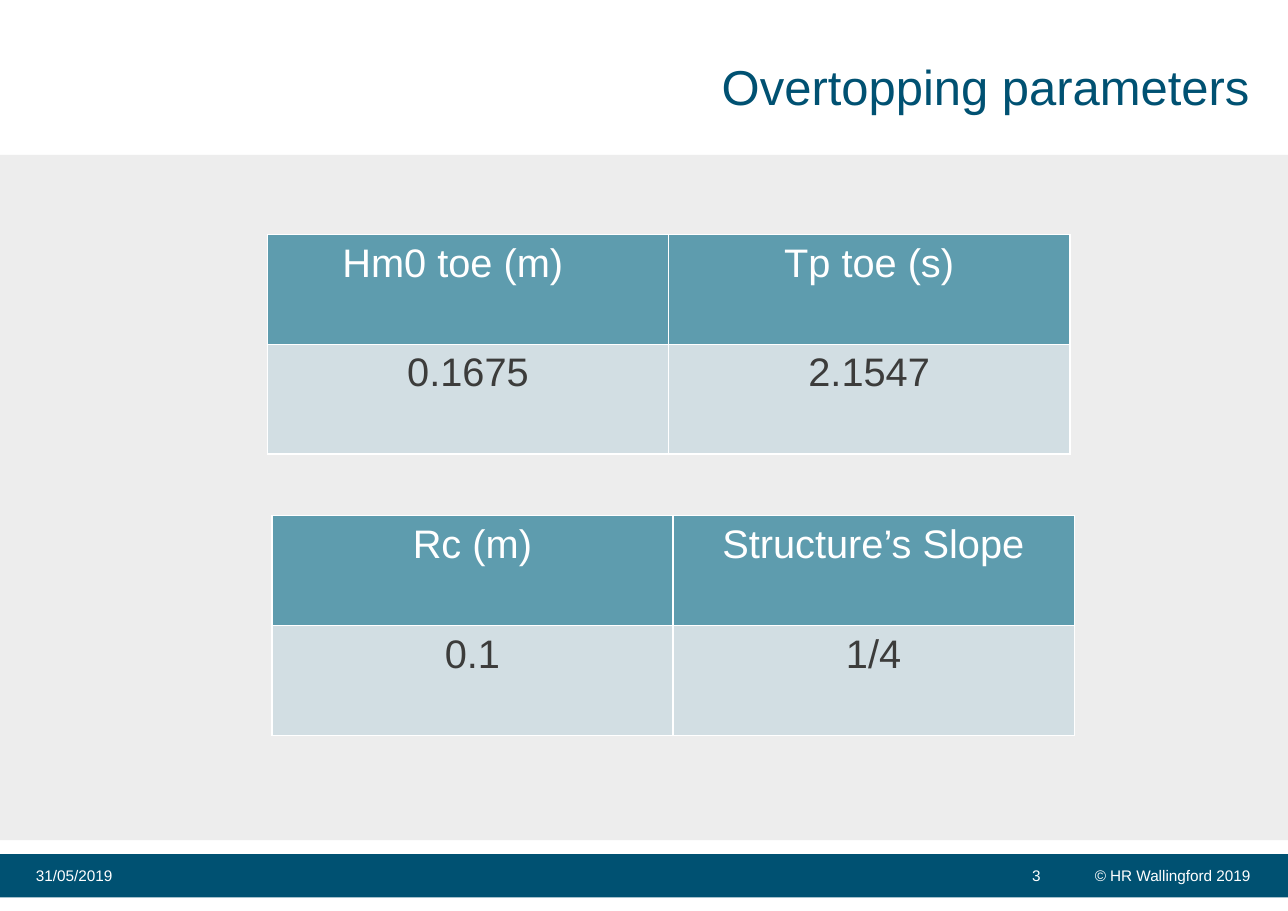
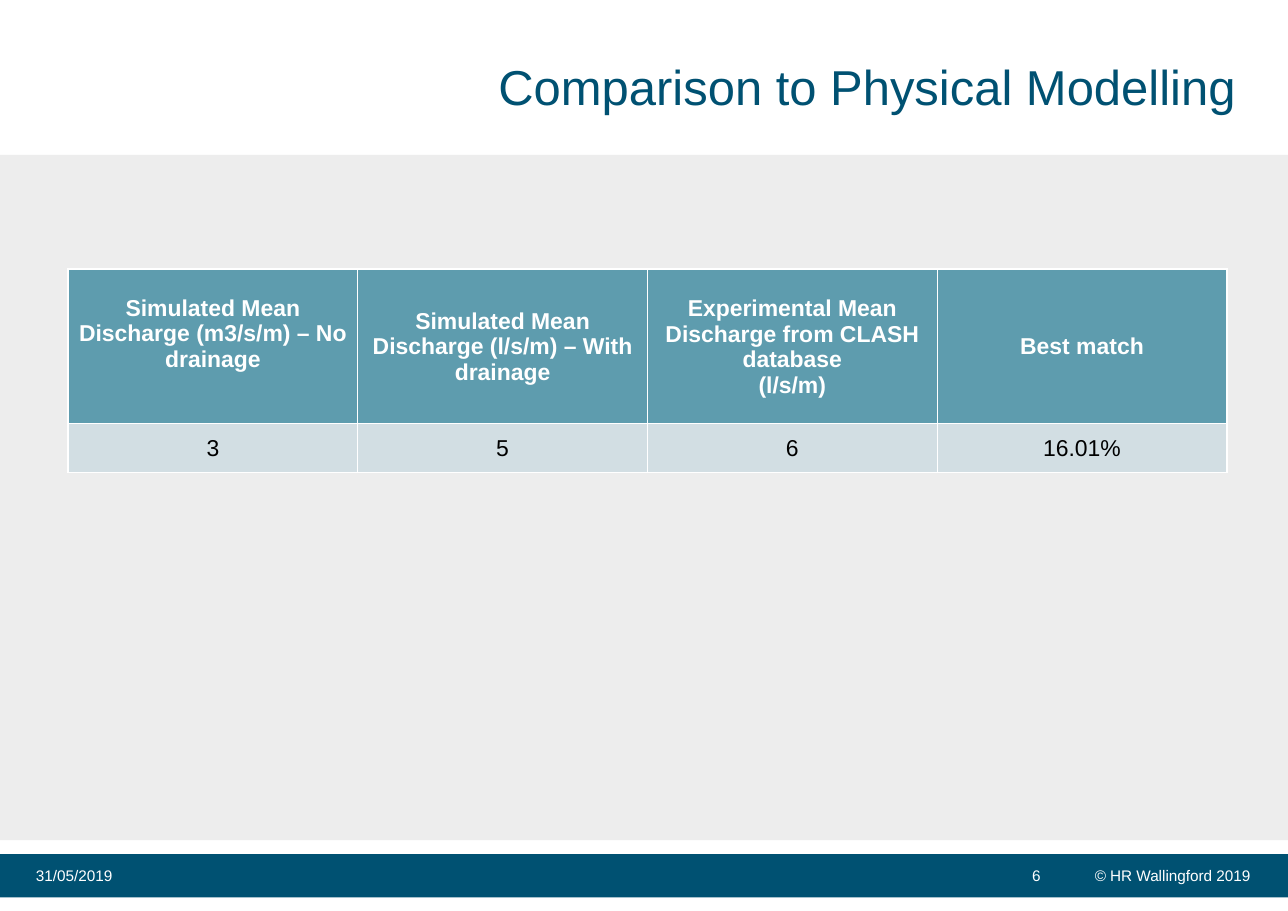
from dataclasses import dataclass

from lxml import etree
from pptx import Presentation
from pptx.dml.color import RGBColor as RGB
from pptx.enum.shapes import MSO_SHAPE as Shape
from pptx.enum.text import MSO_ANCHOR as Anchor, MSO_AUTO_SIZE as AutoSize, PP_ALIGN as Align
from pptx.oxml.ns import qn
from pptx.util import Cm, Pt


@dataclass(frozen=True)
class Theme:
    font: str = "Arial"
    navy: RGB = RGB(0x00, 0x51, 0x72)
    teal: RGB = RGB(0x5E, 0x9C, 0xAE)
    pale: RGB = RGB(0xD2, 0xDE, 0xE3)
    panel: RGB = RGB(0xED, 0xED, 0xED)
    grey: RGB = RGB(0x3C, 0x3C, 0x3B)
    black: RGB = RGB(0x00, 0x00, 0x00)
    white: RGB = RGB(0xFF, 0xFF, 0xFF)
    title: int = 32
    large: int = 26
    small: int = 15
    footer: int = 10


T = Theme()
WIDTH, HEIGHT = 29.7, 21.0
BAND_TOP, BAND_HEIGHT = 19.69, 1.0
DATE = "31/05/2019"
COPYRIGHT = "© HR Wallingford 2019"

LARGE = dict(col_width=9.25, row_heights=(2.53, 2.53), size=T.large, bold=False,
             ink=T.grey, anchor=Anchor.TOP, margins=(0.3, 0.15, 0.3, 0.15))
SMALL = dict(col_width=6.68, row_heights=(3.56, 1.14), size=T.small, bold=True,
             ink=T.black, anchor=Anchor.MIDDLE, margins=(0.03, 0.03, 0.03, 0))

SLIDES = [
    dict(title="Overtopping parameters", number="3", tables=[
        dict(at=(6.17, 5.41), style=LARGE, first_margins=(0.3, 0.15, 1.0, 0.15),
             rows=[("Hm0 toe (m)", "Tp toe (s)"), ("0.1675", "2.1547")]),
        dict(at=(6.27, 11.89), style=LARGE,
             rows=[("Rc (m)", "Structure’s Slope"), ("0.1", "1/4")]),
    ]),
    dict(title="Comparison to Physical Modelling ", number="6", tables=[
        dict(at=(1.57, 6.2), style=SMALL, first_margins=(0.03, 0.03, 0.03, 0.6),
             rows=[("Simulated Mean Discharge (m3/s/m) – No drainage",
                    "Simulated Mean Discharge (l/s/m) – With drainage",
                    "Experimental Mean Discharge from CLASH database\n(l/s/m)",
                    "Best match"),
                   ("3", "5", "6", "16.01%")]),
    ]),
]


def set_text(tf, text, size, color, align, bold=False):
    tf.text = text
    for p in tf.paragraphs:
        p.alignment = align
        p.font.name = T.font
        p.font.size = Pt(size)
        p.font.bold = bold
        p.font.color.rgb = color


def set_margins(box, margins):
    box.margin_left, box.margin_top, box.margin_right, box.margin_bottom = map(Cm, margins)


def add_band(s, top, height, color):
    sp = s.shapes.add_shape(Shape.RECTANGLE, 0, Cm(top), Cm(WIDTH), Cm(height))
    sp.shadow.inherit = False
    sp.fill.solid()
    sp.fill.fore_color.rgb = color
    sp.line.fill.background()


def add_footer(s, text, left, width, align):
    tf = s.shapes.add_textbox(Cm(left), Cm(BAND_TOP), Cm(width), Cm(BAND_HEIGHT)).text_frame
    tf.word_wrap = align != Align.RIGHT
    tf.vertical_anchor = Anchor.MIDDLE
    set_margins(tf, (0, 0, 0, 0))
    set_text(tf, text, T.footer, T.white, align)


def add_borders(cell):
    tc_pr = cell._tc.get_or_add_tcPr()
    for side in ("lnL", "lnR", "lnT", "lnB"):
        line = etree.SubElement(tc_pr, qn(f"a:{side}"), w=str(Pt(1)))
        fill = etree.SubElement(line, qn("a:solidFill"))
        etree.SubElement(fill, qn("a:srgbClr"), val=str(T.white))


def add_table(s, at, style, rows, first_margins=None):
    left, top = map(Cm, at)
    heights = style["row_heights"]
    cols = len(rows[0])
    table = s.shapes.add_table(len(rows), cols, left, top,
                               Cm(style["col_width"] * cols), Cm(sum(heights))).table
    table.horz_banding = False
    for col in table.columns:
        col.width = Cm(style["col_width"])
    for i, (row, height) in enumerate(zip(rows, heights)):
        table.rows[i].height = Cm(height)
        header = i == 0
        for j, text in enumerate(row):
            cell = table.cell(i, j)
            first = header and j == 0
            set_margins(cell, first_margins if first and first_margins else style["margins"])
            cell.vertical_anchor = style["anchor"]
            add_borders(cell)
            cell.fill.solid()
            cell.fill.fore_color.rgb = T.teal if header else T.pale
            set_text(cell.text_frame, text, style["size"], T.white if header else style["ink"],
                     Align.CENTER, header and style["bold"])


def add_title(s, text):
    sp = s.shapes.title
    sp.left, sp.top, sp.width, sp.height = map(Cm, (5.64, 0.86, 23.19, 2.39))
    tf = sp.text_frame
    tf.auto_size = AutoSize.NONE
    tf.vertical_anchor = Anchor.MIDDLE
    set_margins(tf, (0, 0, 0, 0))
    set_text(tf, text, T.title, T.navy, Align.RIGHT)
    tf.paragraphs[0].line_spacing = 0.9


def add_slide(prs, title, number, tables):
    s = prs.slides.add_slide(prs.slide_layouts.get_by_name("Title Only"))
    add_band(s, 3.57, 15.8, T.panel)
    add_band(s, BAND_TOP, BAND_HEIGHT, T.navy)
    add_title(s, title)
    for table in tables:
        add_table(s, **table)
    add_footer(s, DATE, 0.83, 4, Align.LEFT)
    add_footer(s, number, 22.9, 2, Align.CENTER)
    add_footer(s, COPYRIGHT, 25.2, 3.63, Align.RIGHT)


def main():
    prs = Presentation()
    prs.slide_width, prs.slide_height = Cm(WIDTH), Cm(HEIGHT)
    for slide in SLIDES:
        add_slide(prs, **slide)
    prs.save("out.pptx")


if __name__ == "__main__":
    main()
